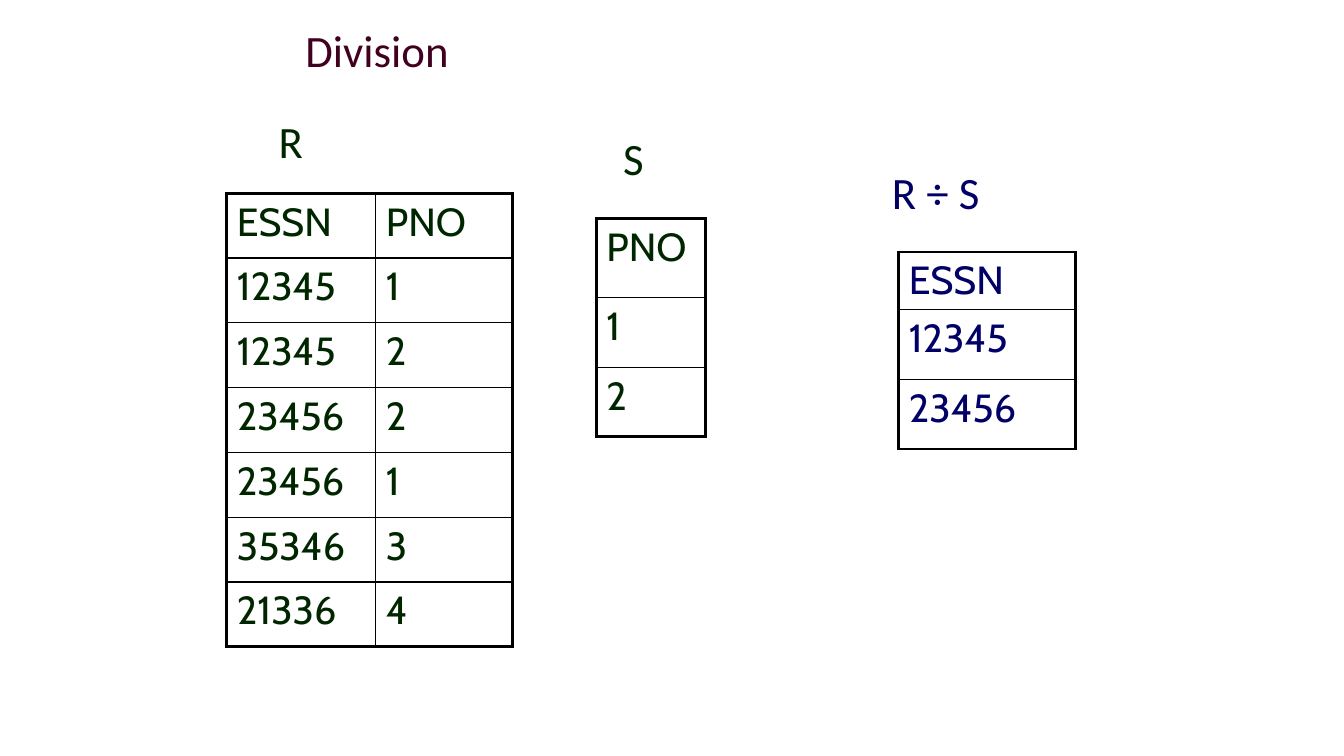
"""Build a slide that shows relational division, R ÷ S, with three tables."""
import dataclasses

import lxml.etree
import pptx
import pptx.dml.color
import pptx.enum.text
import pptx.oxml.ns
import pptx.slide
import pptx.text.text
import pptx.util

Pt = pptx.util.Pt
GREEN, NAVY, PLUM, BLACK = "002600", "000066", "420021", "000000"
THICK, THIN = 2.25, 1


@dataclasses.dataclass
class Label:
    text: str
    left: float
    top: float
    width: float
    height: float
    color: str
    middle: bool = False
    spacing: float = 1.0


@dataclasses.dataclass
class Grid:
    left: float
    top: float
    cols: list[float]
    rows: list[float]
    color: str
    data: list[list[str]]


LABELS = [
    Label("Division", 211, 16.5, 613.5, 43, PLUM, True, 0.9),
    Label("R", 192, 78, 52.5, 45.5, GREEN),
    Label("S", 438, 90, 52.5, 45.5, GREEN),
    Label("R ÷ S", 630, 114, 126, 45.5, NAVY),
]
GRIDS = [
    Grid(162, 138, [106.5, 97.5], [46.29] * 7, GREEN,
         [["ESSN", "PNO"], ["12345", "1"], ["12345", "2"], ["23456", "2"],
          ["23456", "1"], ["35346", "3"], ["21336", "4"]]),
    Grid(426, 156, [78], [56.5, 49.8, 49.8], GREEN, [["PNO"], ["1"], ["2"]]),
    Grid(642, 180, [126], [41, 49.8, 49.8], NAVY,
         [["ESSN"], ["12345"], ["23456"]]),
]


def rgb(code: str) -> pptx.dml.color.RGBColor:
    return pptx.dml.color.RGBColor.from_string(code)


def write(frame: pptx.text.text.TextFrame, text: str, color: str,
          style: dict[str, object]) -> None:
    run = frame.paragraphs[0].add_run()
    run.text = text
    for key, value in style.items():
        setattr(run.font, key, value)
    run.font.color.rgb = rgb(color)


def draw_label(slide: pptx.slide.Slide, label: Label) -> None:
    box = slide.shapes.add_textbox(Pt(label.left), Pt(label.top),
                                   Pt(label.width), Pt(label.height))
    frame = box.text_frame
    anchor = pptx.enum.text.MSO_ANCHOR
    frame.word_wrap = True
    frame.vertical_anchor = anchor.MIDDLE if label.middle else anchor.TOP
    frame.paragraphs[0].line_spacing = label.spacing
    write(frame, label.text, label.color, {"name": "Calibri", "size": Pt(32)})


def add_edges(cell: object, edges: dict[str, float]) -> None:
    qn = pptx.oxml.ns.qn
    props = cell._tc.get_or_add_tcPr()
    for spot, (side, width) in enumerate(edges.items()):
        line = lxml.etree.Element(qn(f"a:ln{side}"), w=str(int(Pt(width))))
        fill = lxml.etree.SubElement(line, qn("a:solidFill"))
        lxml.etree.SubElement(fill, qn("a:srgbClr"), val=BLACK)
        props.insert(spot, line)


def draw_grid(slide: pptx.slide.Slide, grid: Grid) -> None:
    wide, high = len(grid.cols), len(grid.rows)
    table = slide.shapes.add_table(
        high, wide, Pt(grid.left), Pt(grid.top),
        Pt(sum(grid.cols)), Pt(sum(grid.rows))).table
    for key, value in {"first_row": False, "horz_banding": False}.items():
        setattr(table, key, value)
    for col, width in zip(table.columns, grid.cols):
        col.width = Pt(width)
    for row, height in zip(table.rows, grid.rows):
        row.height = Pt(height)
    for y, line in enumerate(grid.data):
        for x, text in enumerate(line):
            cell = table.cell(y, x)
            cell.fill.background()
            outer = {"L": x == 0, "R": x == wide - 1,
                     "T": y == 0, "B": y == high - 1}
            add_edges(cell, {side: THICK if edge else THIN
                             for side, edge in outer.items()})
            write(cell.text_frame, text, grid.color,
                  {"name": "Cabin", "size": Pt(28)})


def main() -> None:
    deck = pptx.Presentation()
    deck.slide_width, deck.slide_height = Pt(960), Pt(540)
    slide = deck.slides.add_slide(deck.slide_layouts[6])
    for grid in GRIDS:
        draw_grid(slide, grid)
    for label in LABELS:
        draw_label(slide, label)
    deck.save("out.pptx")


if __name__ == "__main__":
    main()
